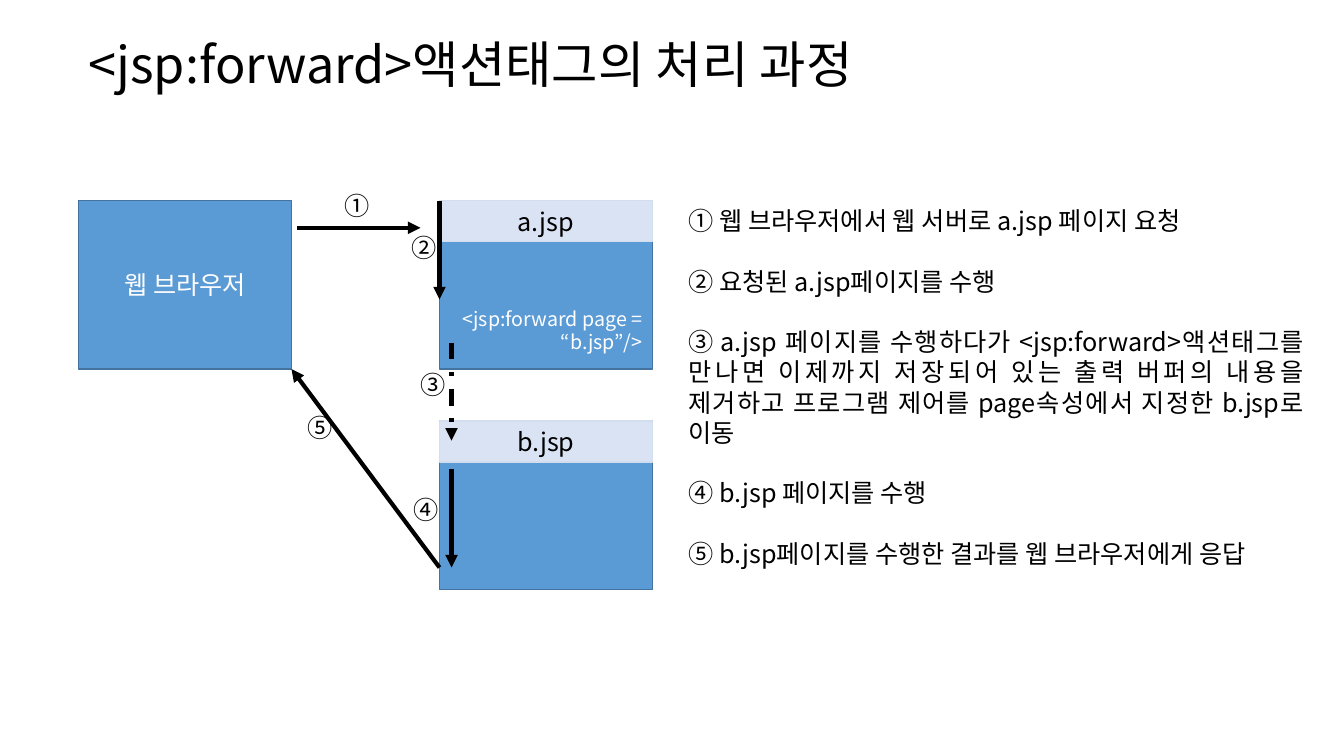
import pptx
import pptx.util
import pptx.dml.color
import pptx.enum.dml
import pptx.enum.shapes
import pptx.enum.text
import pptx.oxml.ns
import lxml.etree

RGBColor = pptx.dml.color.RGBColor
ALIGN = pptx.enum.text.PP_ALIGN
ANCHOR = pptx.enum.text.MSO_ANCHOR
DASH = pptx.enum.dml.MSO_LINE

BLACK = RGBColor(0x00, 0x00, 0x00)
WHITE = RGBColor(0xFF, 0xFF, 0xFF)
BLUE = RGBColor(0x5B, 0x9B, 0xD5)
BLUE_EDGE = RGBColor(0x43, 0x73, 0x9E)
PALE = RGBColor(0xDA, 0xE3, 0xF3)
PALE_EDGE = RGBColor(0xD2, 0xDE, 0xEF)

FONT = "Noto Sans CJK KR"
LINE_PITCH = 1.2
STEPS = [
    "① 웹 브라우저에서 웹 서버로 a.jsp 페이지 요청",
    "② 요청된 a.jsp페이지를 수행",
    "③ a.jsp 페이지를 수행하다가 <jsp:forward>액션태그를 만나면 이제까지 저장되어 있는 "
    "출력 버퍼의 내용을 제거하고 프로그램 제어를 page속성에서 지정한 b.jsp로 이동",
    "④ b.jsp 페이지를 수행",
    "⑤ b.jsp페이지를 수행한 결과를 웹 브라우저에게 응답",
]


def set_attributes(target, values):
    for name, value in values.items():
        setattr(target, name, value)


def add_child(parent, tag, **attributes):
    return lxml.etree.SubElement(parent, pptx.oxml.ns.qn(tag), attributes)


def place(box, left, top, width=0, height=0):
    """Turn percentages of a box into a box of slide lengths."""
    return (int(box[0] + box[2] * left / 100), int(box[1] + box[3] * top / 100),
            int(box[2] * width / 100), int(box[3] * height / 100))


def write(shape, paragraphs, size=18, color=BLACK, align=ALIGN.LEFT,
          anchor=ANCHOR.TOP, gap=0, **frame_values):
    frame = shape.text_frame
    set_attributes(frame, {"word_wrap": True, "vertical_anchor": anchor, **frame_values})
    for index, text in enumerate(paragraphs):
        paragraph = frame.add_paragraph() if index else frame.paragraphs[0]
        set_attributes(paragraph, {
            "alignment": align,
            "line_spacing": pptx.util.Pt(size * LINE_PITCH),
            "space_before": pptx.util.Pt(gap if index else 0),
        })
        run = paragraph.add_run()
        run.text = text
        set_attributes(run.font, {"name": FONT, "size": pptx.util.Pt(size)})
        run.font.color.rgb = color
        add_child(run.font._element, "a:ea", typeface=FONT)


def add_text(slide, box, paragraphs, **values):
    shape = slide.shapes.add_textbox(*box)
    write(shape, paragraphs, **values)
    return shape


def add_panel(slide, box, fill, edge):
    shape = slide.shapes.add_shape(pptx.enum.shapes.MSO_SHAPE.RECTANGLE, *box)
    shape.shadow.inherit = False
    shape.fill.solid()
    shape.fill.fore_color.rgb = fill
    shape.line.color.rgb = edge
    shape.line.width = pptx.util.Pt(1)
    return shape


def add_arrow(slide, box, start, end, dash):
    arrow = slide.shapes.add_connector(
        pptx.enum.shapes.MSO_CONNECTOR.STRAIGHT,
        *place(box, *start)[:2], *place(box, *end)[:2])
    arrow.line.color.rgb = BLACK
    set_attributes(arrow.line, {"width": pptx.util.Pt(3), "dash_style": dash})
    add_child(arrow.line._get_or_add_ln(), "a:tailEnd", type="triangle")
    add_child(arrow._element.spPr, "a:effectLst")


def draw_title(slide, box):
    add_text(slide, box, ["<jsp:forward>액션태그의 처리 과정"], size=36)


def draw_flow(slide, box):
    panel_width, panel_height, header_height = 37.1, 43.3, 10.5
    page_left, lower_top = 100 - panel_width, 100 - panel_height
    inner_left, lower_end = 65, 94.3

    # Browser and the two pages
    browser, page_a, page_b = [
        add_panel(slide, place(box, left, top, panel_width, panel_height), BLUE, BLUE_EDGE)
        for left, top in [(0, 0), (page_left, 0), (page_left, lower_top)]]
    write(browser, ["웹 브라우저"], color=WHITE, align=ALIGN.CENTER, anchor=ANCHOR.MIDDLE)
    write(page_a, ["<jsp:forward page = “b.jsp”/>"], size=14, color=WHITE,
          align=ALIGN.RIGHT, anchor=ANCHOR.BOTTOM, margin_bottom=pptx.util.Inches(0.15))

    # Page headers
    for name, top in [("a.jsp", 0), ("b.jsp", lower_top)]:
        header = add_panel(slide, place(box, page_left, top, panel_width, header_height),
                           PALE, PALE_EDGE)
        write(header, [name], align=ALIGN.CENTER, anchor=ANCHOR.MIDDLE)

    # Numbered arrows: number, its corner, start, end, dash
    steps = [
        ("①", (44.6, -3.9), (38.1, 7), (59.6, 7), DASH.SOLID),
        ("②", (56.2, 7), (page_left, 0), (page_left, 25.4), DASH.SOLID),
        ("③", (57.8, 42.2), (inner_left, 36.5), (inner_left, 61.7), DASH.DASH_DOT),
        ("④", (56.6, 74.1), (inner_left, 68.9), (inner_left, lower_end), DASH.SOLID),
        ("⑤", (38.1, 53.1), (page_left, lower_end), (panel_width, panel_height), DASH.SOLID),
    ]
    for number, corner, start, end, dash in steps:
        add_arrow(slide, box, start, end, dash)
        add_text(slide, place(box, *corner, 6.3, 10.4), [number])


def draw_steps(slide, box):
    explanation = add_text(slide, box, STEPS, gap=18 * LINE_PITCH)
    explanation.text_frame.paragraphs[2].alignment = ALIGN.JUSTIFY


presentation = pptx.Presentation()
set_attributes(presentation, {"slide_width": pptx.util.Inches(13.33),
                              "slide_height": pptx.util.Inches(7.5)})
slide = presentation.slides.add_slide(presentation.slide_layouts[6])
page = (0, 0, presentation.slide_width, presentation.slide_height)
draw_title(slide, place(page, 5.85, 3.73, 92.8, 9.47))
draw_flow(slide, place(page, 5.85, 26.53, 42.69, 51.47))
draw_steps(slide, place(page, 50.49, 26.53, 47.26, 49.87))
presentation.save("out.pptx")
